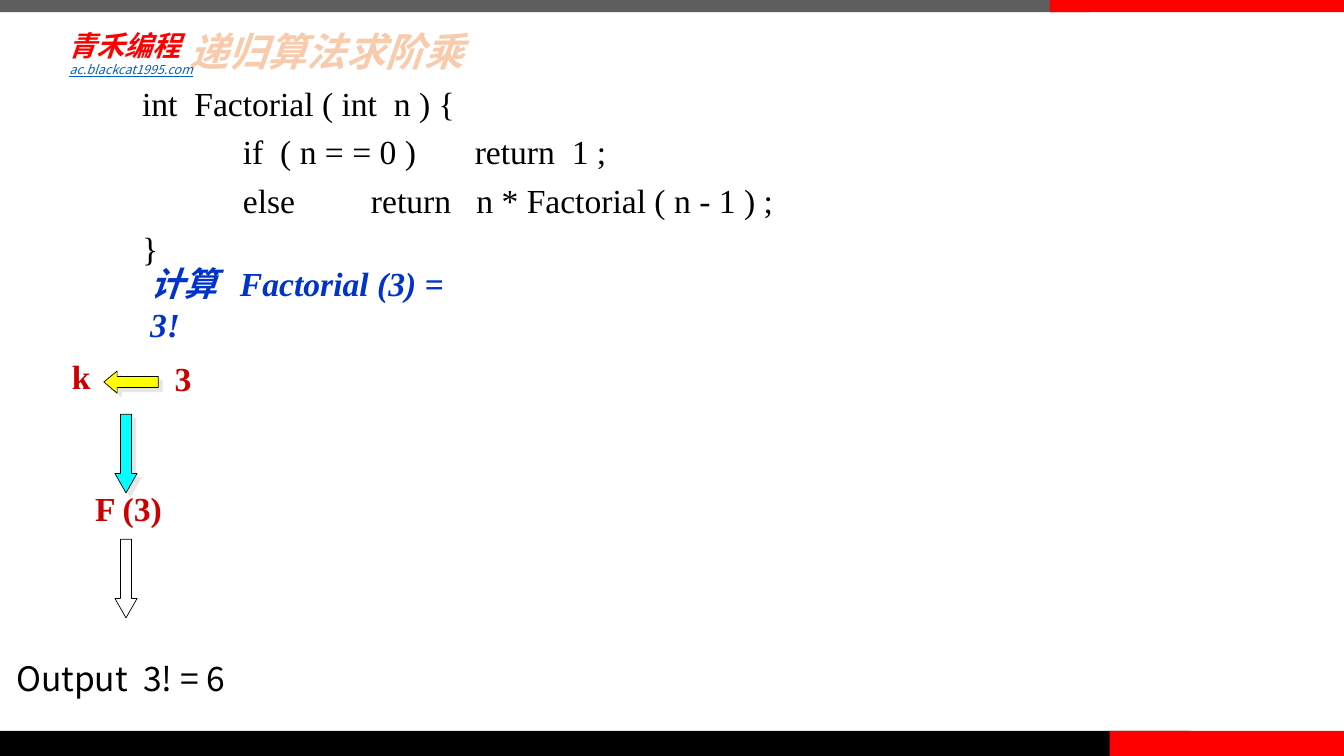
from dataclasses import dataclass

import lxml.etree
import pptx
import pptx.dml.color
import pptx.enum.shapes
import pptx.enum.text
import pptx.oxml.ns
import pptx.util

COLUMNS, ROWS = 160, 90
SLIDE_WIDTH = pptx.util.Inches(13.33)
SLIDE_HEIGHT = pptx.util.Inches(7.5)
COLORS = {
    "gray": "5E5E5E", "black": "000000", "red": "FF0000", "crimson": "CC0000",
    "blue": "0033CC", "link": "0563C1", "peach": "F8CBAD", "cyan": "00FFFF",
    "yellow": "FFFF00", "shadow": "E7E6E6",
}
SERIF, SANS, CALIBRI = "Times New Roman", "Noto Sans CJK SC", "Calibri"
WIDE_INSETS = (0.13, 0.07)
SHAPES = pptx.enum.shapes.MSO_SHAPE
ALIGN = pptx.enum.text.PP_ALIGN
ANCHOR = pptx.enum.text.MSO_ANCHOR


@dataclass(frozen=True)
class Area:
    """Left, top, width and height in grid columns and rows."""
    left: float
    top: float
    width: float
    height: float

    def lengths(self) -> tuple[int, int, int, int]:
        column, row = SLIDE_WIDTH / COLUMNS, SLIDE_HEIGHT / ROWS
        return (round(self.left * column), round(self.top * row),
                round(self.width * column), round(self.height * row))


@dataclass(frozen=True)
class Bar:
    area: Area
    color: str


@dataclass(frozen=True)
class Arrow:
    kind: SHAPES
    area: Area
    head: float
    color: str | None = None


@dataclass(frozen=True)
class Line:
    """One paragraph with its tab stops in inches."""
    text: str
    tabs: tuple[float, ...] = ()


@dataclass(frozen=True)
class Label:
    area: Area
    lines: tuple[Line, ...]
    color: str
    font: str = SERIF
    size: float = 24
    bold: bool = False
    italic: bool = False
    underline: bool = False
    wrap: bool = True
    align: ALIGN = ALIGN.LEFT
    anchor: ANCHOR = ANCHOR.MIDDLE
    spacing: float = 1.0
    insets: tuple[float, float] = WIDE_INSETS


def red_label(area: Area, text: str) -> Label:
    return Label(area, (Line(text),), "crimson", bold=True, wrap=False, align=ALIGN.CENTER)


BARS = (
    Bar(Area(0, 0, 129.7, 1.44), "gray"),
    Bar(Area(0, 87, 141.6, 3), "black"),
    Bar(Area(132.1, 87, 27.9, 3), "red"),
    Bar(Area(125, 0, 35, 1.44), "red"),
)
ARROWS = (
    Arrow(SHAPES.DOWN_ARROW, Area(13.68, 49.32, 2.64, 9.36), 0.875, "cyan"),
    Arrow(SHAPES.DOWN_ARROW, Area(13.68, 64.2, 2.64, 9.36), 0.875),
    Arrow(SHAPES.LEFT_ARROW, Area(12.36, 44.16, 6.48, 2.64), 0.6, "yellow"),
)
TITLE = Label(Area(21, 3.48, 133.44, 5.76), (Line("递归算法求阶乘"),), "peach", SANS, 28,
              bold=True, italic=True, anchor=ANCHOR.TOP, spacing=0.8)
LABELS = (
    Label(Area(7.44, 2.64, 15.36, 5.4), (Line("青禾编程"),), "red", CALIBRI, 20,
          bold=True, italic=True, insets=(0.06, 0.06)),
    Label(Area(16.32, 32.88, 42, 6.48), (Line("计算\tFactorial (3) = 3!", (0.89,)),), "blue",
          bold=True, italic=True),
    red_label(Area(6.96, 41.52, 5.4, 6.48), "k"),
    red_label(Area(19.2, 41.76, 5.16, 6.48), "3"),
    red_label(Area(9.72, 57.24, 11.16, 6.48), "F (3)"),
    Label(Area(0.36, 77.52, 28.08, 6.48), (Line("Output\t3! = 6", (1.26,)),), "black", SANS,
          wrap=False),
    Label(Area(15.36, 7.92, 97.68, 24.96), (
        Line("int  Factorial ( int  n ) {"),
        Line("\tif  ( n = = 0 )\treturn  1 ;", (1, 3.3)),
        Line("\telse\treturn   n * Factorial ( n - 1 ) ;", (1, 2.27)),
        Line("}"),
    ), "black", spacing=1.2),
    Label(Area(7.08, 6.72, 68.16, 3), (Line("ac.blackcat1995.com"),), "link", SANS, 9,
          italic=True, underline=True, anchor=ANCHOR.TOP, insets=(0.1, 0.05)),
)


def rgb(name: str) -> pptx.dml.color.RGBColor:
    return pptx.dml.color.RGBColor.from_string(COLORS[name])


def add_element(parent, tag: str, **attributes: str):
    return lxml.etree.SubElement(parent, pptx.oxml.ns.qn(tag), attributes)


def add_bar(slide, bar: Bar) -> None:
    shape = slide.shapes.add_shape(SHAPES.RECTANGLE, *bar.area.lengths())
    shape.shadow.inherit = False
    shape.fill.solid()
    shape.fill.fore_color.rgb = rgb(bar.color)
    shape.line.fill.background()


def add_arrow(slide, arrow: Arrow) -> None:
    """Draw a thin outlined arrow; a filled one also casts a hard shadow."""
    shape = slide.shapes.add_shape(arrow.kind, *arrow.area.lengths())
    shape.adjustments[0] = 0.5
    shape.adjustments[1] = arrow.head
    shape.line.color.rgb = rgb("black")
    shape.line.width = pptx.util.Pt(0.5)
    shape.shadow.inherit = False
    if arrow.color is None:
        shape.fill.background()
        return
    shape.fill.solid()
    shape.fill.fore_color.rgb = rgb(arrow.color)
    effects = shape.element.spPr.find(pptx.oxml.ns.qn("a:effectLst"))
    shadow = add_element(effects, "a:outerShdw", dist=str(pptx.util.Pt(4.2)),
                         dir="2700000", algn="ctr", rotWithShape="0")
    add_element(shadow, "a:srgbClr", val=COLORS["shadow"])


def write_line(paragraph, line: Line, label: Label) -> None:
    if line.tabs:
        stops = add_element(paragraph._p.get_or_add_pPr(), "a:tabLst")
        for position in line.tabs:
            add_element(stops, "a:tab", pos=str(pptx.util.Inches(position)), algn="l")
    paragraph.alignment = label.align
    paragraph.line_spacing = label.spacing
    paragraph.space_before = pptx.util.Pt(0)
    run = paragraph.add_run()
    run.text = line.text
    font = run.font
    font.name = label.font
    font.size = pptx.util.Pt(label.size)
    font.bold = label.bold
    font.italic = label.italic
    font.underline = label.underline
    font.color.rgb = rgb(label.color)
    add_element(run._r.get_or_add_rPr(), "a:ea", typeface=SANS)


def fill_label(shape, label: Label) -> None:
    shape.left, shape.top, shape.width, shape.height = label.area.lengths()
    frame = shape.text_frame
    frame.auto_size = pptx.enum.text.MSO_AUTO_SIZE.NONE
    frame.word_wrap = label.wrap
    frame.vertical_anchor = label.anchor
    side, edge = map(pptx.util.Inches, label.insets)
    frame.margin_left = frame.margin_right = side
    frame.margin_top = frame.margin_bottom = edge
    for index, line in enumerate(label.lines):
        paragraph = frame.add_paragraph() if index else frame.paragraphs[0]
        write_line(paragraph, line, label)


def main() -> None:
    presentation = pptx.Presentation()
    presentation.slide_width = SLIDE_WIDTH
    presentation.slide_height = SLIDE_HEIGHT
    slide = presentation.slides.add_slide(presentation.slide_layouts.get_by_name("Title Only"))
    fill_label(slide.shapes.title, TITLE)
    for bar in BARS:
        add_bar(slide, bar)
    for arrow in ARROWS:
        add_arrow(slide, arrow)
    for label in LABELS:
        fill_label(slide.shapes.add_textbox(*label.area.lengths()), label)
    presentation.save("out.pptx")


if __name__ == "__main__":
    main()
